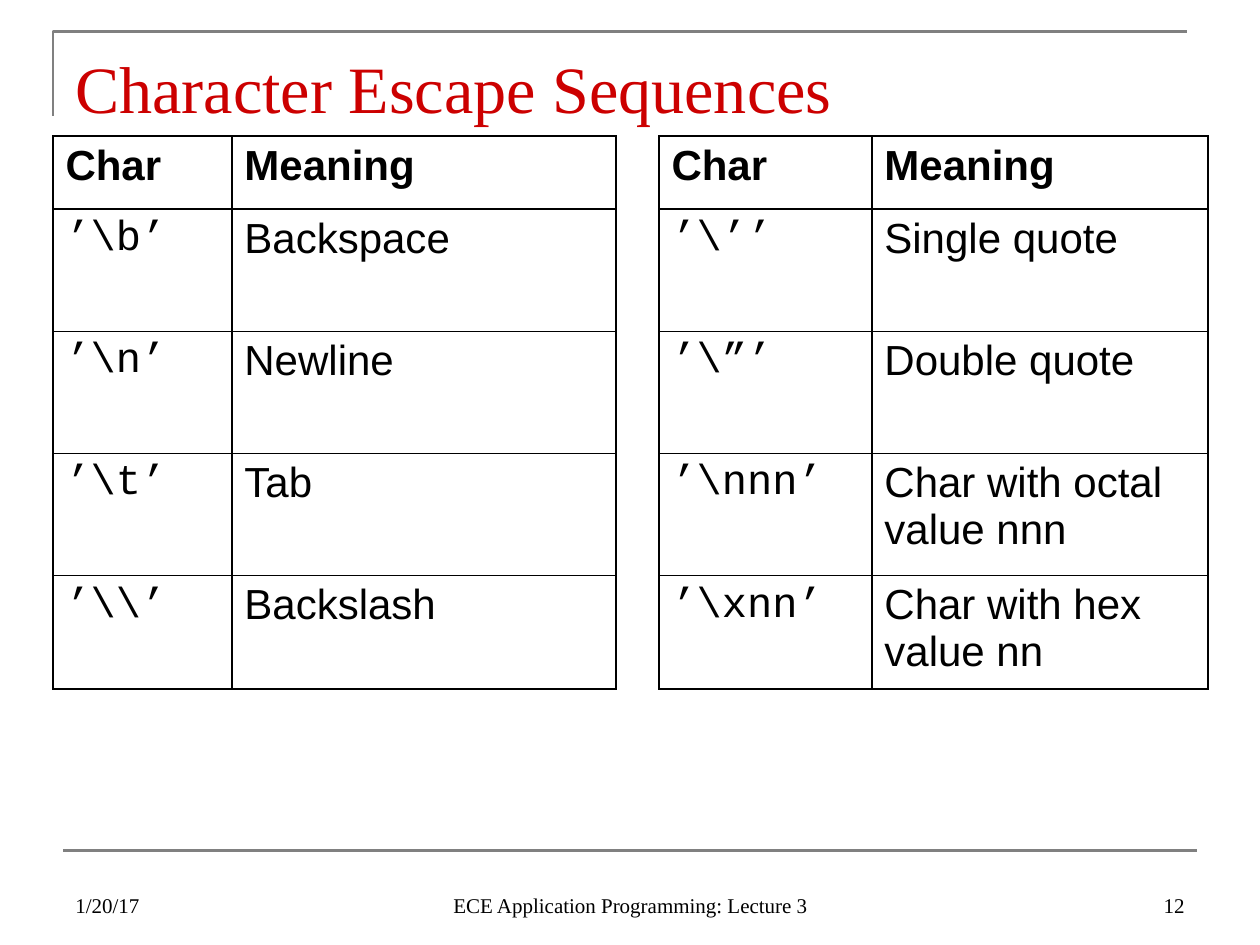
import lxml.etree
import pptx
import pptx.dml.color
import pptx.enum.shapes
import pptx.enum.text
import pptx.oxml.ns
import pptx.util

Inches = pptx.util.Inches
Pt = pptx.util.Pt
Align = pptx.enum.text.PP_ALIGN
Anchor = pptx.enum.text.MSO_ANCHOR
qn = pptx.oxml.ns.qn

BLACK = pptx.dml.color.RGBColor(0x00, 0x00, 0x00)
GRAY = pptx.dml.color.RGBColor(0x80, 0x80, 0x80)
RED = pptx.dml.color.RGBColor(0xCC, 0x00, 0x00)

SERIF = "Times New Roman"
SANS = "Arial"
MONO = "Courier New"

COLUMN_WIDTHS = [1.42, 3.05, 0.34, 1.69, 2.67]
ROW_HEIGHTS = [0.58, 0.97, 0.97, 0.97, 0.9]
GAP_COLUMN = 2
ESCAPES = [
    ["Char", "Meaning", "", "Char", "Meaning"],
    ["’\\b’", "Backspace", "", "’\\’’", "Single quote"],
    ["’\\n’", "Newline", "", "’\\”’", "Double quote"],
    ["’\\t’", "Tab", "", "’\\nnn’", "Char with octal value nnn"],
    ["’\\\\’", "Backslash", "", "’\\xnn’", "Char with hex value nn"],
]


def style_font(font, name, size, color, bold=False):
    """Set the typeface, size, colour and weight of a font."""
    font.name = name
    font.size = Pt(size)
    font.color.rgb = color
    font.bold = bold


def add_text(page, text, left, top, width, height, size, color, align, anchor):
    """Add a one-line serif text box."""
    box = page.shapes.add_textbox(Inches(left), Inches(top), Inches(width), Inches(height))
    frame = box.text_frame
    frame.text = text
    frame.word_wrap = True
    frame.vertical_anchor = anchor
    para = frame.paragraphs[0]
    para.alignment = align
    style_font(para.runs[0].font, SERIF, size, color)


def add_title(page, left, top, width, height):
    """Add the corner rule and the title inside it."""
    builder = page.shapes.build_freeform(Inches(left), Inches(top + 0.67))
    builder.add_line_segments(
        [(Inches(left), Inches(top)), (Inches(left + width), Inches(top))], close=False
    )
    corner = builder.convert_to_shape()
    corner.shadow.inherit = False
    corner.fill.background()
    corner.line.color.rgb = GRAY
    corner.line.width = Pt(1.5)
    add_text(page, "Character Escape Sequences", left + 0.08, top + 0.05, width,
             height - 0.05, 37.8, RED, Align.LEFT, Anchor.MIDDLE)


def set_borders(cell, visible_sides):
    """Draw black borders on the named sides and clear the others."""
    properties = cell._tc.get_or_add_tcPr()
    for side in "LRTB":
        line = lxml.etree.SubElement(properties, qn(f"a:ln{side}"), w=str(Pt(1)))
        if side in visible_sides:
            fill = lxml.etree.SubElement(line, qn("a:solidFill"))
            lxml.etree.SubElement(fill, qn("a:srgbClr"), val=str(BLACK))
        else:
            lxml.etree.SubElement(line, qn("a:noFill"))


def add_escape_table(page, left, top):
    """Add the paired table of escapes and their meanings."""
    frame = page.shapes.add_table(
        len(ROW_HEIGHTS), len(COLUMN_WIDTHS), Inches(left), Inches(top),
        Inches(sum(COLUMN_WIDTHS)), Inches(sum(ROW_HEIGHTS)),
    )
    table = frame.table
    table.first_row = False
    table.horz_banding = False
    for column, width in zip(table.columns, COLUMN_WIDTHS):
        column.width = Inches(width)
    for row, height in zip(table.rows, ROW_HEIGHTS):
        row.height = Inches(height)
    for row_index, values in enumerate(ESCAPES):
        for column_index, value in enumerate(values):
            cell = table.cell(row_index, column_index)
            set_borders(cell, "LR" if column_index == GAP_COLUMN else "LRTB")
            cell.fill.background()
            if value:
                cell.text_frame.text = value
                is_header = row_index == 0
                is_code = not is_header and column_index in (0, 3)
                span = cell.text_frame.paragraphs[0].runs[0]
                style_font(span.font, MONO if is_code else SANS, 24, BLACK, is_header)


def add_footer(page, left, top, width):
    """Add the lower rule with date, course and page number below it."""
    rule = page.shapes.add_connector(
        pptx.enum.shapes.MSO_CONNECTOR.STRAIGHT,
        Inches(left), Inches(top), Inches(left + width), Inches(top),
    )
    rule.line.color.rgb = GRAY
    rule.line.width = Pt(1.5)
    lxml.etree.SubElement(rule._element.spPr, qn("a:effectLst"))
    parts = [
        ("1/20/17", 0, 2.33, Align.LEFT),
        ("ECE Application Programming: Lecture 3", 2.92, 3.17, Align.CENTER),
        ("12", width - 2.33, 2.33, Align.RIGHT),
    ]
    for text, offset, part_width, align in parts:
        add_text(page, text, left + offset, top + 0.08, part_width, 0.5,
                 12, BLACK, align, Anchor.BOTTOM)


def main():
    """Build the slide and save the deck."""
    deck = pptx.Presentation()
    deck.slide_width = Inches(10)
    deck.slide_height = Inches(7.5)
    page = deck.slides.add_slide(deck.slide_layouts[6])
    add_title(page, 0.42, 0.25, 9, 0.83)
    add_escape_table(page, 0.42, 1.08)
    add_footer(page, 0.5, 6.75, 9)
    deck.save("out.pptx")


if __name__ == "__main__":
    main()
